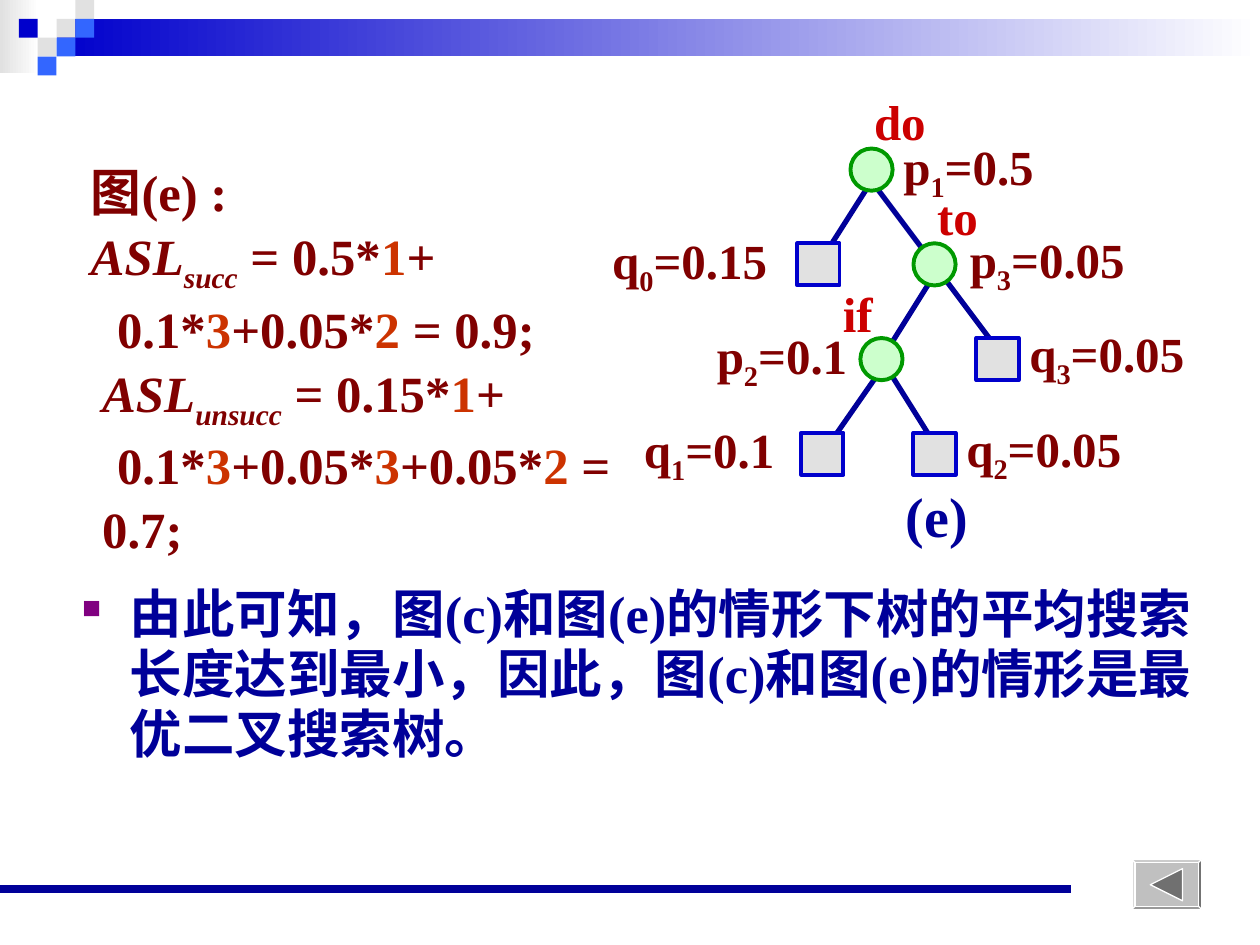
from lxml import etree
from pptx import Presentation
from pptx import util as u
from pptx.dml.color import RGBColor
from pptx.enum import shapes, text
from pptx.oxml.ns import qn

FONT, CJK_FONT = "Times New Roman", "Noto Sans CJK JP"
NAVY, BLUE, SKY, GREY, WHITE = "000099", "0000CC", "3366FF", "E1E1E1", "FFFFFF"
MAROON, RED, ORANGE = "800000", "CC0000", "CC3300"

# Lengths are centimetres throughout.
TILE = 0.38
TILES = [(3, 1, GREY), (4, 0, GREY), (4, 1, SKY), (2, 2, GREY),
         (1, 1, BLUE), (3, 2, SKY), (2, 3, SKY)]
GRADIENTS = [((0, 0, 0.79, 1.47), GREY), ((1.14, 0.38, 24.26, 0.76), BLUE)]

# name: (centre x, level)
INNER = {"do": (17.57, 0), "to": (18.84, 1), "if": (17.77, 2)}
LEAVES = {"q0": (16.5, 1), "q1": (16.58, 3), "q2": (18.84, 3), "q3": (20.11, 2)}
ROOT_Y, LEVEL_GAP, NODE = 3.42, 1.91, 0.85
# start, end, offset of start y, offset of end y; do-q3 passes through "to"
EDGES = [("if", "q2", 0, -0.2), ("do", "q0", 0.23, 0), ("to", "if", 0.2, 0),
         ("if", "q1", 0.2, 0), ("do", "q3", 0.23, -0.2)]

KEYS = [("do", 17.37, 1.73, 1.8), ("if", 16.74, 5.59, 1.4), ("to", 18.64, 3.63, 1.6)]
WEIGHTS = [("q", "0", "0.15", 12.09, 4.52), ("q", "1", "0.1", 12.73, 8.33),
           ("p", "1", "0.5", 17.96, 2.62), ("q", "2", "0.05", 19.23, 8.31),
           ("p", "2", "0.1", 14.2, 6.43), ("q", "3", "0.05", 20.5, 6.4),
           ("p", "3", "0.05", 19.3, 4.5)]

ITALIC, HOT, SUB = {"italic": True}, {"color": ORANGE}, {"base": -25000}
ITALIC_SUB = {**ITALIC, **SUB}
# (left margin, first line indent, line spacing, runs)
FORMULAS = [
    (0.74, 0, u.Pt(37), ["图(e) :"]),
    (0.74, 0, 1.05, [("ASL", ITALIC), ("succ", ITALIC_SUB), " = 0.5*", ("1", HOT), "+"]),
    (1.27, 0, 1.05, ["0.1*", ("3", HOT), "+0.05*", ("2", HOT), " = 0.9;"]),
    (0.97, 0, 1.05, [("ASL", ITALIC), ("unsucc", ITALIC_SUB), " = 0.15*", ("1", HOT), "+"]),
    (0.97, 0.3, 1.05, ["0.1*", ("3", HOT), "+0.05*", ("3", HOT), "+0.05*", ("2", HOT),
                       " = 0.7;"]),
]
CONCLUSION = ("由此可知，图(c)和图(e)的情形下树的平均搜索长度达到最小，"
              "因此，图(c)和图(e)的情形是最优二叉搜索树。")

prs = Presentation()
prs.slide_width, prs.slide_height = u.Cm(25.4), u.Cm(19.05)
s = prs.slides.add_slide(prs.slide_layouts[6])


def rgb(value):
    return RGBColor.from_string(value)


def add_shape(kind, box, fill, line=None, width=2.25):
    sp = s.shapes.add_shape(kind, *map(u.Cm, box))
    sp.shadow.inherit = False
    sp.fill.solid()
    sp.fill.fore_color.rgb = rgb(fill)
    if line:
        sp.line.color.rgb = rgb(line)
        sp.line.width = u.Pt(width)
    else:
        sp.line.fill.background()
    return sp


def add_line(x1, y1, x2, y2, width):
    c = s.shapes.add_connector(shapes.MSO_CONNECTOR.STRAIGHT, *map(u.Cm, (x1, y1, x2, y2)))
    c.line.color.rgb = rgb(NAVY)
    c.line.width = u.Pt(width)
    etree.SubElement(c._element.spPr, qn("a:effectLst"))


def add_run(p, content, size, color, italic=False, base=0):
    r = p.add_run()
    r.text = content
    f = r.font
    f.name, f.size, f.bold, f.italic = FONT, u.Pt(size), True, italic
    f.color.rgb = rgb(color)
    rpr = r._r.get_or_add_rPr()
    etree.SubElement(rpr, qn("a:ea")).set("typeface", CJK_FONT)
    if base:
        rpr.set("baseline", str(base))


def add_text(box, paragraphs, size=28, color=MAROON, bullet=None):
    """Each paragraph is (left margin, first line indent, line spacing, runs)."""
    tf = s.shapes.add_textbox(*map(u.Cm, box)).text_frame
    tf.word_wrap = True
    tf.auto_size = text.MSO_AUTO_SIZE.NONE
    for i, (margin, indent, spacing, runs) in enumerate(paragraphs):
        p = tf.add_paragraph() if i else tf.paragraphs[0]
        ppr = p._p.get_or_add_pPr()
        ppr.set("marL", str(u.Cm(margin)))
        ppr.set("indent", str(u.Cm(indent)))
        if bullet:
            clr = etree.SubElement(ppr, qn("a:buClr"))
            etree.SubElement(clr, qn("a:srgbClr")).set("val", bullet)
            etree.SubElement(ppr, qn("a:buSzPct")).set("val", "50000")
            etree.SubElement(ppr, qn("a:buChar")).set("char", "■")
        p.line_spacing = spacing
        for run in runs:
            content, style = (run, {}) if isinstance(run, str) else run
            add_run(p, content, size, **{"color": color, **style})


def add_label(box, runs, **style):
    add_text(box, [(0, 0, 1.0, runs)], **style)


SHAPE = shapes.MSO_SHAPE

# Header and footer decoration
for box, start in GRADIENTS:
    fill = add_shape(SHAPE.RECTANGLE, box, start).fill
    fill.gradient()
    fill.gradient_angle = 0
    for stop, color in zip(fill.gradient_stops, (start, WHITE)):
        stop.color.rgb = rgb(color)
for col, row, color in TILES:
    add_shape(SHAPE.RECTANGLE, (col * TILE, row * TILE, TILE, TILE), color)
add_line(0, 17.93, 21.59, 17.93, 4.5)

add_text((1.4, 11.65, 23.01, 4.24), [(0.97, -0.97, u.Pt(34.3), [CONCLUSION])],
         size=30, color=NAVY, bullet="800080")

# Search tree
centres = {name: (x, ROOT_Y + level * LEVEL_GAP)
           for name, (x, level) in {**INNER, **LEAVES}.items()}
for start, end, dy1, dy2 in EDGES:
    (x1, y1), (x2, y2) = centres[start], centres[end]
    add_line(x1, y1 + dy1, x2, y2 + dy2, 3)
for name, (x, y) in centres.items():
    look = (SHAPE.OVAL, "CCFFCC", "009900") if name in INNER else (SHAPE.RECTANGLE, GREY, BLUE)
    add_shape(look[0], (x - NODE / 2, y - NODE / 2, NODE, NODE), *look[1:])

for key, x, y, w in KEYS:
    add_label((x, y, w, 1.45), [key], color=RED)
for letter, index, value, x, y in WEIGHTS:
    w = 3.9 if len(value) == 4 else 3.4
    add_label((x, y, w, 1.6), [letter, (index, SUB), "=" + value])
add_label((18.01, 9.58, 2.1, 1.63), ["(e)"], size=32, color=NAVY)

# Back button
button = add_shape(SHAPE.BEVEL, (22.82, 17.33, 1.4, 1), "C0C0C0", WHITE, 0.75)
button.adjustments[0] = 0.06
arrow = add_shape(SHAPE.ISOSCELES_TRIANGLE, (23.19, 17.51, 0.65, 0.65), "707070", WHITE, 0.75)
arrow.rotation = 270

add_text((0.84, 3.04, 12.07, 9.04), FORMULAS, size=29)

prs.save("out.pptx")
